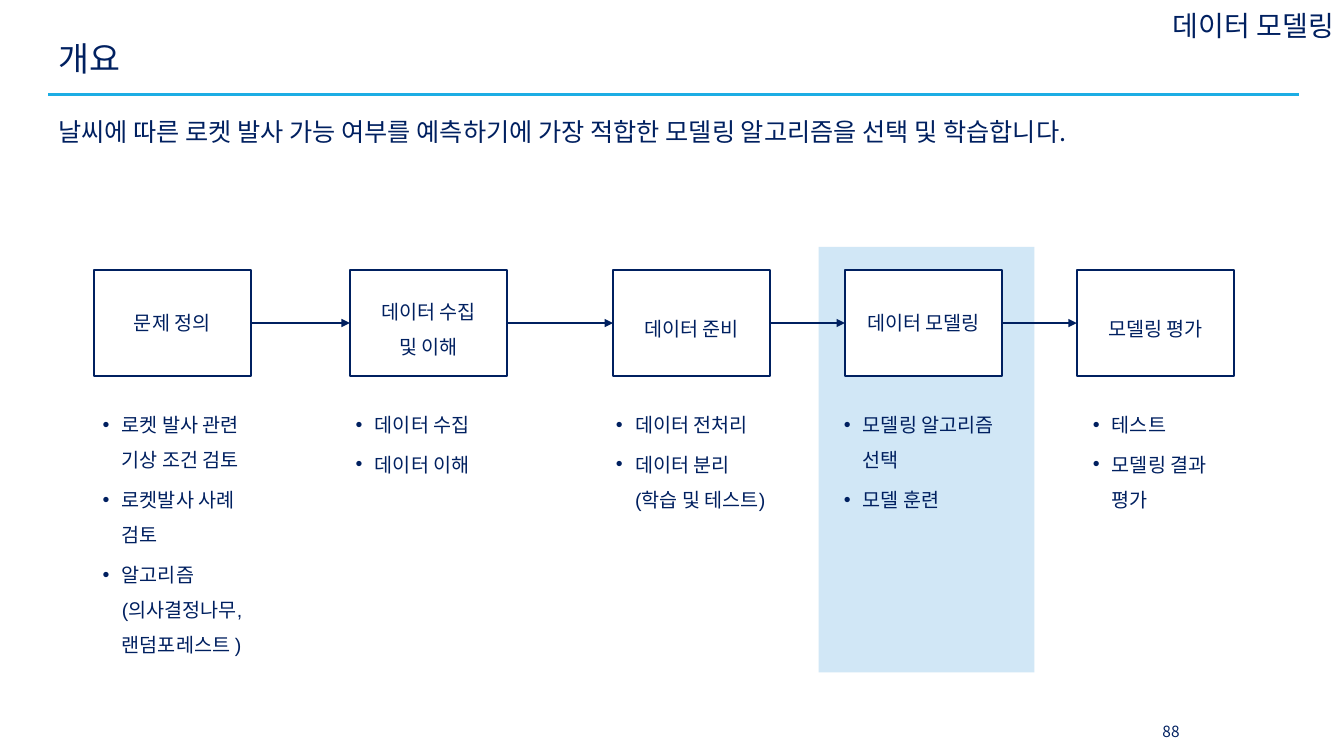
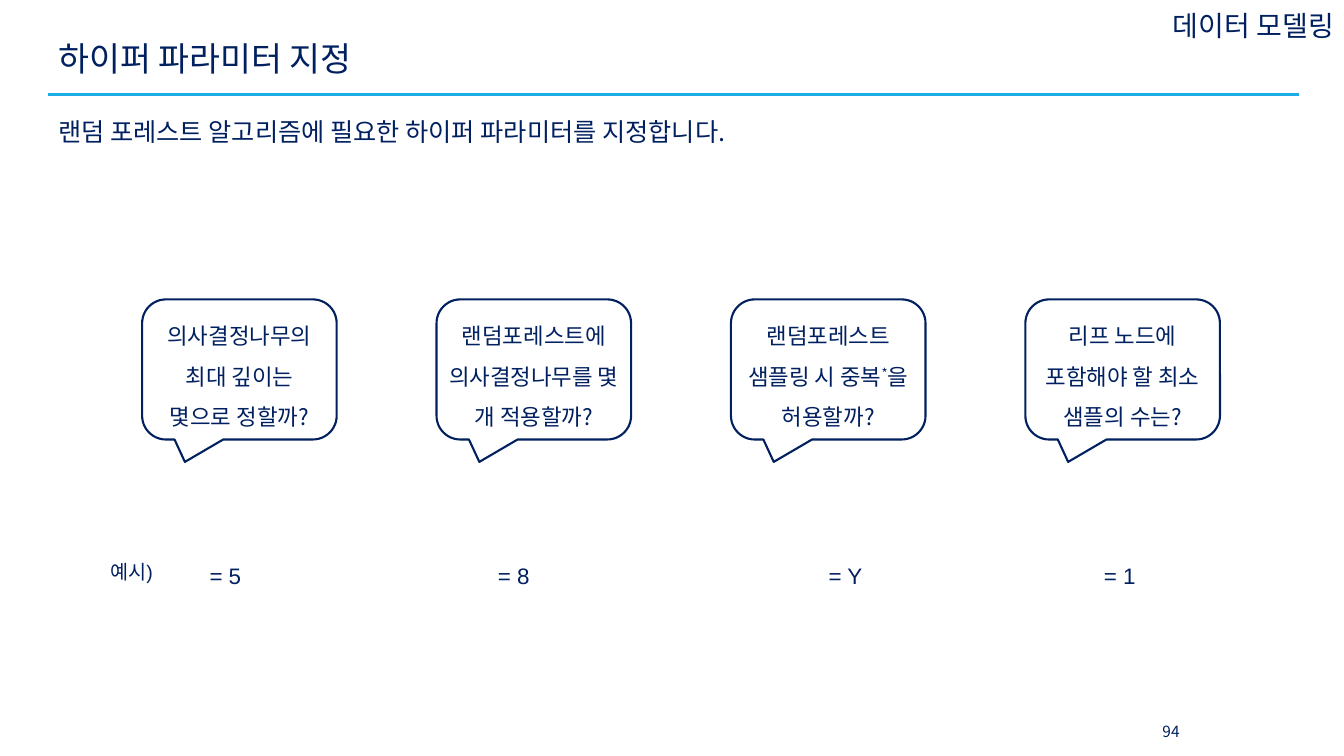
from copy import deepcopy
from dataclasses import dataclass

from lxml import etree
from pptx import Presentation
from pptx.dml.color import RGBColor
from pptx.enum.shapes import MSO_CONNECTOR, MSO_SHAPE
from pptx.enum.text import MSO_ANCHOR, PP_ALIGN
from pptx.oxml.ns import qn
from pptx.util import Inches, Pt

RECT = MSO_SHAPE.RECTANGLE
BUBBLE = MSO_SHAPE.ROUNDED_RECTANGULAR_CALLOUT
STRAIGHT = MSO_CONNECTOR.STRAIGHT
TOP, MIDDLE = MSO_ANCHOR.TOP, MSO_ANCHOR.MIDDLE
LEFT, CENTER, RIGHT = PP_ALIGN.LEFT, PP_ALIGN.CENTER, PP_ALIGN.RIGHT


@dataclass(frozen=True)
class Theme:
    navy: RGBColor = RGBColor(0x00, 0x20, 0x60)
    sky: RGBColor = RGBColor(0x1C, 0xAD, 0xE4)
    pale: RGBColor = RGBColor(0xD1, 0xE7, 0xF6)
    white: RGBColor = RGBColor(0xFF, 0xFF, 0xFF)
    korean: str = "Noto Sans CJK KR"
    latin: str = "Arial"
    title: int = 24
    header: int = 20
    lead: int = 18
    bubble: int = 16
    body: int = 14
    page: int = 11


THEME = Theme()
INSET = (0.1, 0.05, 0.1, 0.05)
NOTE_INSET = (0.1, 0.12, 0.1, 0.05)
INDENT = 0.19

# Process steps: left, label lines, line spacing, list left, list width, items
STEPS = [
    (0.93, ["문제 정의"], 1.0, 0.92, 1.8,
     ["로켓 발사 관련 기상 조건 검토", "로켓발사 사례 검토",
      "알고리즘 (의사결정나무,\v랜덤포레스트 )"]),
    (3.47, ["데이터 수집", "및 이해"], 1.5, 3.43, 1.63,
     ["데이터 수집", "데이터 이해"]),
    (6.08, ["데이터 준비"], 1.5, 6.01, 1.7,
     ["데이터 전처리", "데이터 분리 (학습 및 테스트)"]),
    (8.38, ["데이터 모델링"], 1.0, 8.27, 1.85,
     ["모델링 알고리즘 선택", "모델 훈련"]),
    (10.68, ["모델링 평가"], 1.5, 10.74, 1.7,
     ["테스트", "모델링 결과 평가"]),
]

# Questions: label paragraphs, answer left, answer
ASKS = [
    (["의사결정나무의 최대 깊이는 몇으로 정할까?"], 1.61, "= 5"),
    (["랜덤포레스트에 의사결정나무를 몇 개 적용할까?"], 4.47, "= 8"),
    (["랜덤포레스트", ("샘플링 시 중복", "*", "을 허용할까?")], 7.76, "= Y"),
    (["리프 노드에 포함해야 할 최소 샘플의 수는?"], 10.48, "= 1"),
]


def assign(item, values):
    for name, value in values.items():
        setattr(item, name, value)


def style(run, size, font):
    assign(run.font, {"size": Pt(size), "name": font})
    run.font.color.rgb = THEME.navy
    props = run.font._element
    etree.SubElement(props, qn("a:ea")).set("typeface", THEME.korean)
    if run.text == "*":
        props.set("baseline", "30000")


def bullet(para):
    props = para._p.get_or_add_pPr()
    props.set("marL", str(Inches(INDENT)))
    props.set("indent", str(-Inches(INDENT)))
    etree.SubElement(props, qn("a:buFont")).set("typeface", THEME.latin)
    etree.SubElement(props, qn("a:buChar")).set("char", "•")


def write(shape, paras, size, font=THEME.korean, align=LEFT, anchor=TOP,
          lines=1.0, inset=INSET, marks=False):
    """Fill a shape with paragraphs; a tuple holds the runs of one paragraph."""
    frame = shape.text_frame
    sides = ("margin_left", "margin_top", "margin_right", "margin_bottom")
    assign(frame, {"word_wrap": True, "vertical_anchor": anchor,
                   **dict(zip(sides, map(Inches, inset)))})
    for i, text in enumerate(paras):
        para = frame.add_paragraph() if i else frame.paragraphs[0]
        assign(para, {"alignment": align, "line_spacing": lines})
        if marks:
            para.space_before = Pt(3 if i else 0)
            bullet(para)
        if isinstance(text, tuple):
            for part in text:
                para.add_run().text = part
        else:
            para.text = text
        for run in para.runs:
            style(run, size, font)
        for gap in para._p.findall(qn("a:br")):
            gap.append(deepcopy(para.runs[0].font._element))


def label(slide, at, paras, size, **form):
    box = slide.shapes.add_textbox(*map(Inches, at))
    write(box, paras, size, **form)


def block(slide, kind, at, fill=None, edge=None):
    shape = slide.shapes.add_shape(kind, *map(Inches, at))
    shape.shadow.inherit = False
    if fill is None:
        shape.fill.background()
    else:
        shape.fill.solid()
        shape.fill.fore_color.rgb = fill
    if edge is None:
        shape.line.fill.background()
    else:
        shape.line.color.rgb = edge
        shape.line.width = Pt(1.5)
    return shape


def rule(slide, start, end, color, width):
    line = slide.shapes.add_connector(STRAIGHT, *map(Inches, start + end))
    line.line.color.rgb = color
    line.line.width = Pt(width)
    etree.SubElement(line._element.spPr, qn("a:effectLst"))
    return line


def arrow(slide, source, target):
    line = rule(slide, (0, 0), (1, 1), THEME.navy, 1)
    line.begin_connect(source, 3)
    line.end_connect(target, 1)
    tail = etree.SubElement(line.line._get_or_add_ln(), qn("a:tailEnd"))
    tail.set("type", "triangle")


def base(deck, title, lead, page):
    """Add a slide with the shared title, rule, lead, header and page number."""
    slide = deck.slides.add_slide(deck.slide_layouts[6])
    rule(slide, (0.48, 0.94), (12.88, 0.94), THEME.sky, 2.25)
    label(slide, (0.48, 0.29, 12.4, 0.63), [title], THEME.title,
          anchor=MIDDLE, lines=0.9)
    label(slide, (0.48, 1.02, 12.4, 1.26), [lead], THEME.lead, lines=1.3)
    label(slide, (9.26, 0.04, 4.07, 0.43), ["데이터 모델링"], THEME.header,
          align=RIGHT, anchor=MIDDLE)
    label(slide, (11.3, 7.06, 0.63, 0.4), [page], THEME.page,
          align=CENTER, anchor=MIDDLE)
    return slide


def process(deck):
    slide = base(
        deck, "개요",
        "날씨에 따른 로켓 발사 가능 여부를 예측하기에 가장 적합한 "
        "모델링 알고리즘을 선택 및 학습합니다.", "88")
    # Current step
    block(slide, RECT, (8.12, 2.45, 2.14, 4.22), THEME.pale)
    # Steps and their lists
    boxes = []
    for left, name, lines, edge, width, items in STEPS:
        box = block(slide, RECT, (left, 2.68, 1.56, 1.05),
                    THEME.white, THEME.navy)
        write(box, name, THEME.body, align=CENTER, anchor=MIDDLE, lines=lines)
        boxes.append(box)
        label(slide, (edge, 3.86, width, 2.68), items, THEME.body,
              font=THEME.latin, lines=1.5, inset=NOTE_INSET, marks=True)
    # Arrows
    for source, target in zip(boxes, boxes[1:]):
        arrow(slide, source, target)


def settings(deck):
    slide = base(deck, "하이퍼 파라미터 지정",
                 "랜덤 포레스트 알고리즘에 필요한 하이퍼 파라미터를 지정합니다.",
                 "94")
    form = {"font": THEME.latin, "align": CENTER, "lines": 1.5,
            "inset": NOTE_INSET}
    # Questions and sample answers
    for i, (ask, left, answer) in enumerate(ASKS):
        bubble = block(slide, BUBBLE, (1.41 + 2.92 * i, 2.97, 1.93, 1.39),
                       edge=THEME.navy)
        for k, value in enumerate((-0.28, 0.66, 0.17)):
            bubble.adjustments[k] = value
        write(bubble, ask, THEME.bubble, align=CENTER, anchor=MIDDLE,
              lines=1.5, inset=(0.04, 0.05, 0.04, 0.05))
        label(slide, (left, 5.32, 1.25, 0.52), [answer], THEME.bubble, **form)
    label(slide, (0.68, 5.32, 1.25, 0.48), ["예시)"], THEME.body, **form)


def main():
    deck = Presentation()
    assign(deck, {"slide_width": Inches(13.33), "slide_height": Inches(7.5)})
    process(deck)
    settings(deck)
    deck.save("out.pptx")


if __name__ == "__main__":
    main()
